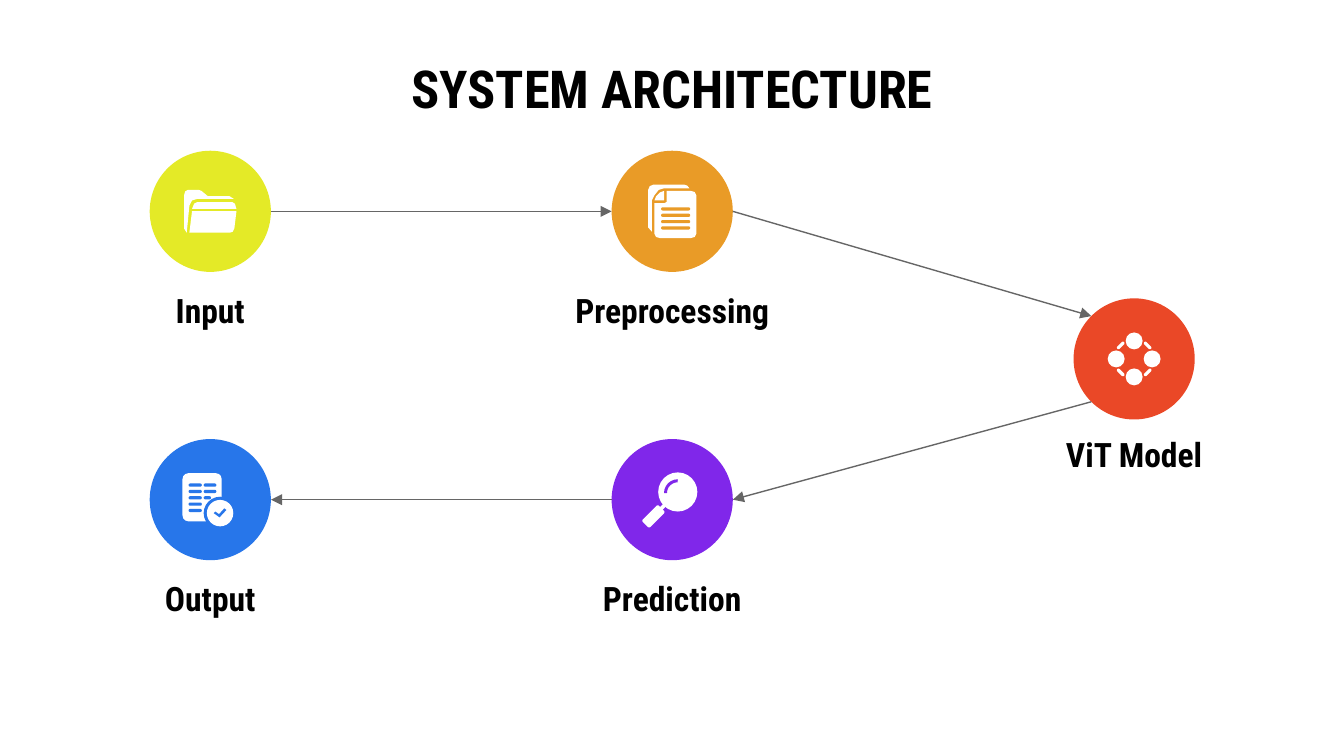
from collections import namedtuple
from math import cos, radians, sin

from lxml.etree import SubElement
from pptx import Presentation
from pptx.dml.color import RGBColor
from pptx.enum.shapes import MSO_CONNECTOR, MSO_SHAPE
from pptx.enum.text import MSO_ANCHOR, PP_ALIGN
from pptx.oxml.ns import qn
from pptx.util import Cm, Pt

Box = namedtuple("Box", "left top width height")

COLORS = {
    "input": "E4EA27",
    "preprocessing": "E99B27",
    "model": "EA4827",
    "prediction": "8027EA",
    "output": "2776EA",
    "icon": "FFFFFF",
    "text": "000000",
    "arrow": "666666",
}
FRAME_FORMAT = {
    "word_wrap": True,
    "vertical_anchor": MSO_ANCHOR.MIDDLE,
    "margin_left": Cm(0.25),
    "margin_right": Cm(0.25),
    "margin_top": Cm(0.25),
    "margin_bottom": Cm(0.25),
}
FONT_FORMAT = {"name": "Roboto Condensed", "bold": True}
DIAMETER = 2.29
CENTER = DIAMETER / 2
COLUMNS = [2.83 + 8.73 * index for index in range(3)]
ROWS = {"upper": 2.85, "middle": 5.64, "lower": 8.3}


def color_of(key):
    return RGBColor.from_string(COLORS[key])


def set_format(target, values):
    for name, value in values.items():
        setattr(target, name, value)


def paint(shape, color):
    shape.shadow.inherit = False
    shape.fill.solid()
    shape.fill.fore_color.rgb = color_of(color)
    shape.line.fill.background()


def add_preset(slide, box, kind, part, color="icon", rotation=0, adjustments=()):
    shape = slide.shapes.add_shape(
        kind, Cm(box.left + part.left), Cm(box.top + part.top),
        Cm(part.width), Cm(part.height))
    for index, value in enumerate(adjustments):
        shape.adjustments[index] = value
    shape.rotation = rotation
    paint(shape, color)


def add_dot(slide, box, x, y, diameter, color="icon"):
    part = Box(x - diameter / 2, y - diameter / 2, diameter, diameter)
    add_preset(slide, box, MSO_SHAPE.OVAL, part, color)


def add_bar(slide, box, x, y, width, height, color="icon", rotation=0, roundness=0.5):
    part = Box(x - width / 2, y - height / 2, width, height)
    add_preset(slide, box, MSO_SHAPE.ROUNDED_RECTANGLE, part, color, rotation, (roundness,))


def add_outline(slide, box, points, color="icon"):
    corners = [(Cm(box.left + x), Cm(box.top + y)) for x, y in points]
    builder = slide.shapes.build_freeform(*corners[0])
    builder.add_line_segments(corners[1:], close=True)
    paint(builder.convert_to_shape(), color)


def add_text(slide, box, text, size):
    shape = slide.shapes.add_textbox(*(Cm(length) for length in box))
    set_format(shape.text_frame, FRAME_FORMAT)
    paragraph = shape.text_frame.paragraphs[0]
    paragraph.alignment = PP_ALIGN.CENTER
    run = paragraph.add_run()
    run.text = text
    set_format(run.font, {**FONT_FORMAT, "size": Pt(size)})
    run.font.color.rgb = color_of("text")


def draw_folder(slide, box, color):
    back = [(0.72, 0.74), (0.67, 0.77), (0.65, 0.84), (0.65, 1.47), (0.7, 1.55),
            (0.75, 1.04), (0.8, 0.94), (0.9, 0.91), (1.59, 0.91), (1.51, 0.86),
            (1.1, 0.86), (0.98, 0.76), (0.93, 0.74)]
    sheet = [(0.9, 0.97), (0.84, 1), (0.8, 1.1), (1.64, 1.1), (1.61, 1), (1.56, 0.97)]
    front = [(0.8, 1.14), (0.75, 1.55), (1.51, 1.55), (1.57, 1.53), (1.6, 1.47), (1.64, 1.14)]
    for points in (back, sheet, front):
        add_outline(slide, box, points)


def draw_documents(slide, box, color):
    back = [(0.79, 0.64), (0.72, 0.67), (0.69, 0.74), (0.69, 1.45), (0.76, 1.53),
            (0.76, 0.94), (0.81, 0.84), (0.89, 0.74), (0.99, 0.71), (1.47, 0.71),
            (1.43, 0.66), (1.37, 0.64)]
    page = [(1.04, 0.76), (1.04, 0.97), (1, 0.99), (0.81, 0.99), (0.81, 1.57),
            (0.84, 1.63), (0.91, 1.65), (1.5, 1.65), (1.57, 1.63), (1.6, 1.57),
            (1.6, 0.84), (1.57, 0.78), (1.5, 0.76)]
    fold = [(0.99, 0.76), (0.91, 0.79), (0.84, 0.86), (0.81, 0.94), (0.99, 0.94)]
    for points in (back, page, fold):
        add_outline(slide, box, points)
    for index in range(4):
        add_bar(slide, box, 1.21, 1.1 + 0.12 * index, 0.55, 0.06, color)


def draw_network(slide, box, color):
    for angle in range(0, 360, 90):
        turn = radians(angle)
        add_dot(slide, box, CENTER + 0.34 * cos(turn), CENTER + 0.34 * sin(turn), 0.32)
        turn = radians(angle + 45)
        add_bar(slide, box, CENTER + 0.36 * cos(turn), CENTER + 0.36 * sin(turn),
                0.18, 0.06, rotation=angle + 135)


def draw_magnifier(slide, box, color):
    add_bar(slide, box, 0.79, 1.46, 0.43, 0.2, rotation=-45, roundness=0.15)
    add_bar(slide, box, 0.98, 1.27, 0.16, 0.07, rotation=-45, roundness=0)
    add_dot(slide, box, 1.25, 1, 0.74)
    add_preset(slide, box, MSO_SHAPE.BLOCK_ARC, Box(0.99, 0.76, 0.52, 0.52), color,
               adjustments=(108, 162, 0.11))


def draw_report(slide, box, color):
    add_bar(slide, box, 0.99, 1.1, 0.74, 0.91, roundness=0.15)
    for index in range(5):
        add_bar(slide, box, 0.86, 0.87 + 0.12 * index, 0.25, 0.06, color)
    for index, width in enumerate((0.24, 0.24, 0.14)):
        add_bar(slide, box, 1.02 + width / 2, 0.87 + 0.12 * index, width, 0.06, color)
    add_dot(slide, box, 1.33, 1.4, 0.62, color)
    add_dot(slide, box, 1.33, 1.4, 0.5)
    check = [(1.21, 1.4), (1.24, 1.37), (1.31, 1.42), (1.41, 1.31), (1.45, 1.34), (1.32, 1.48)]
    add_outline(slide, box, check, color)


def draw_node(slide, box, label, label_offset, color, draw_icon):
    add_preset(slide, box, MSO_SHAPE.OVAL, Box(0, 0, box.width, box.height), color)
    draw_icon(slide, box, color)
    width = 5.41
    left = box.left + (box.width - width) / 2
    add_text(slide, Box(left, box.top + label_offset, width, 0.91), label, 18)


def rim_point(box, angle):
    radius, turn = box.width / 2, radians(angle)
    return (Cm(box.left + radius + radius * cos(turn)),
            Cm(box.top + radius + radius * sin(turn)))


def draw_arrow(slide, start_box, start_angle, end_box, end_angle):
    connector = slide.shapes.add_connector(
        MSO_CONNECTOR.STRAIGHT, *rim_point(start_box, start_angle), *rim_point(end_box, end_angle))
    connector.line.width = Pt(0.75)
    connector.line.color.rgb = color_of("arrow")
    SubElement(connector.line._get_or_add_ln(), qn("a:tailEnd"), type="triangle")
    SubElement(connector._element.spPr, qn("a:effectLst"))


def draw_title(slide, box):
    add_text(slide, box, "SYSTEM ARCHITECTURE", 28)


def main():
    presentation = Presentation()
    presentation.slide_width, presentation.slide_height = Cm(25.4), Cm(14.29)
    slide = presentation.slides.add_slide(presentation.slide_layouts[6])
    draw_title(slide, Box(1.27, 1.14, 22.86, 1.04))
    nodes = {
        "input": (0, "upper", "Input", 2.56, draw_folder),
        "preprocessing": (1, "upper", "Preprocessing", 2.56, draw_documents),
        "model": (2, "middle", "ViT Model", 2.49, draw_network),
        "prediction": (1, "lower", "Prediction", 2.55, draw_magnifier),
        "output": (0, "lower", "Output", 2.55, draw_report),
    }
    boxes = {}
    for key, (column, row, label, label_offset, draw_icon) in nodes.items():
        boxes[key] = Box(COLUMNS[column], ROWS[row], DIAMETER, DIAMETER)
        draw_node(slide, boxes[key], label, label_offset, key, draw_icon)
    for start, start_angle, end, end_angle in (
        ("input", 0, "preprocessing", 180),
        ("preprocessing", 0, "model", 225),
        ("model", 135, "prediction", 0),
        ("prediction", 180, "output", 0),
    ):
        draw_arrow(slide, boxes[start], start_angle, boxes[end], end_angle)
    presentation.save("out.pptx")


if __name__ == "__main__":
    main()
